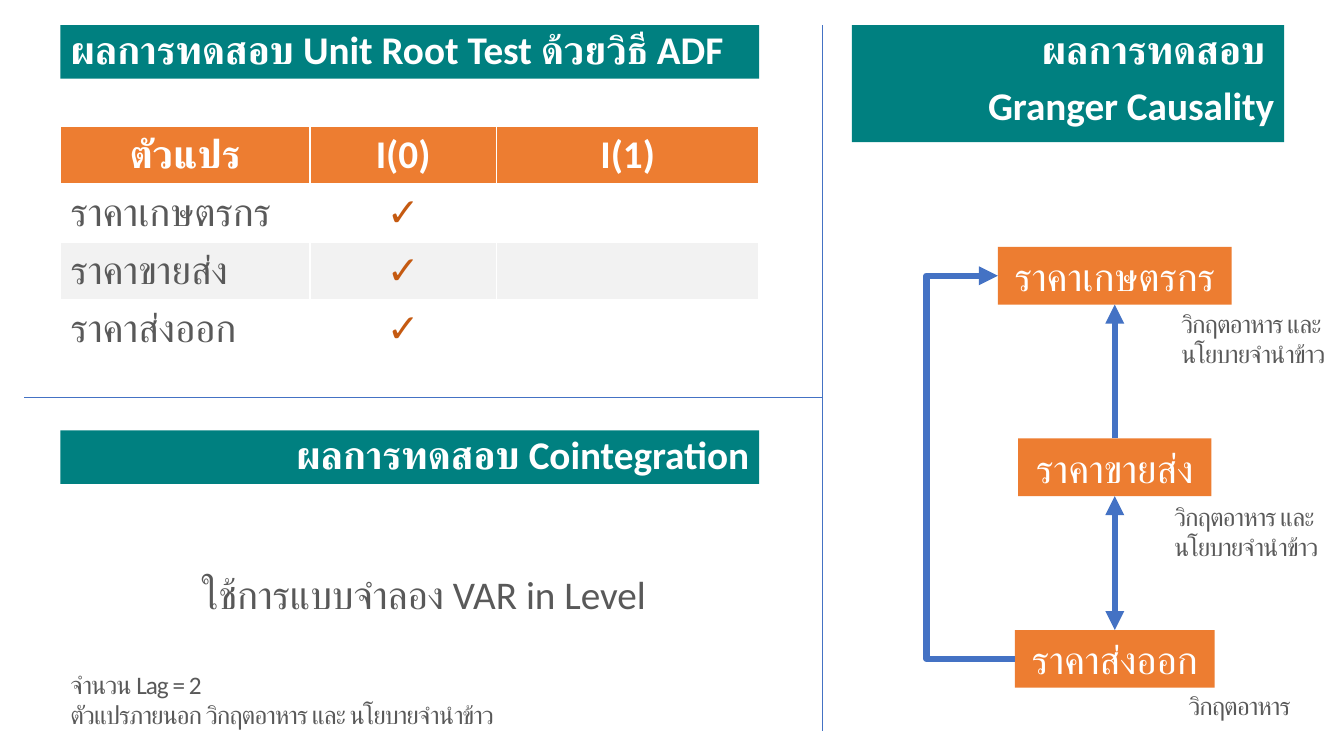
from pptx import Presentation
from pptx.dml.color import RGBColor
from pptx.enum.shapes import MSO_CONNECTOR, MSO_SHAPE
from pptx.enum.text import MSO_ANCHOR, MSO_AUTO_SIZE, PP_ALIGN
from pptx.oxml.ns import qn
from pptx.util import Pt
from lxml import etree

LEFT, CENTER, RIGHT = PP_ALIGN.LEFT, PP_ALIGN.CENTER, PP_ALIGN.RIGHT
TOP, MIDDLE = MSO_ANCHOR.TOP, MSO_ANCHOR.MIDDLE
RECT = MSO_SHAPE.RECTANGLE
STRAIGHT, ELBOW = MSO_CONNECTOR.STRAIGHT, MSO_CONNECTOR.ELBOW
NO_FIT = MSO_AUTO_SIZE.NONE

WHITE = RGBColor(0xFF, 0xFF, 0xFF)
TEAL = RGBColor(0x00, 0x80, 0x80)
ORANGE = RGBColor(0xED, 0x7D, 0x31)
RUST = RGBColor(0xC5, 0x5A, 0x11)
BLUE = RGBColor(0x44, 0x72, 0xC4)
GREY = RGBColor(0x59, 0x59, 0x59)
PALE = RGBColor(0xF2, 0xF2, 0xF2)


class Deck:
    font = "Calibri"
    large = 28
    small = 18

    def __init__(self, prs):
        self.s = prs.slides.add_slide(prs.slide_layouts[5])

    def add_lines(self, tf, lines, color, size=large, bold=False, align=LEFT, spacing=None, before=0, tracking=None):
        for i, line in enumerate(lines):
            p = tf.paragraphs[0] if i == 0 else tf.add_paragraph()
            p.alignment = align
            p.line_spacing = spacing
            p.space_before = Pt(before if i else 0)
            r = p.add_run()
            r.text = line
            r.font.name = self.font
            r.font.size = Pt(size)
            r.font.bold = bold
            r.font.color.rgb = color
            rPr = r._r.get_or_add_rPr()
            etree.SubElement(rPr, qn("a:cs"), typeface=self.font)
            if tracking is not None:
                rPr.set("spc", str(tracking))

    def rect(self, x, y, w, h, fill):
        sp = self.s.shapes.add_shape(RECT, Pt(x), Pt(y), Pt(w), Pt(h))
        sp.shadow.inherit = False
        sp.fill.solid()
        sp.fill.fore_color.rgb = fill
        sp.line.fill.background()
        return sp

    def banner_text(self, sp, lines, align):
        tf = sp.text_frame
        tf.word_wrap = True
        tf.auto_size = NO_FIT
        tf.vertical_anchor = TOP
        self.add_lines(tf, lines, WHITE, bold=True, align=align, spacing=0.9, before=10)

    def title(self, x, y, w, h, line):
        sp = self.s.shapes.title
        sp.left, sp.top, sp.width, sp.height = Pt(x), Pt(y), Pt(w), Pt(h)
        sp.fill.solid()
        sp.fill.fore_color.rgb = TEAL
        self.banner_text(sp, [line], LEFT)

    def banner(self, x, y, w, h, lines):
        self.banner_text(self.rect(x, y, w, h, TEAL), lines, RIGHT)

    def node(self, center, y, w, h, line):
        sp = self.rect(center - w / 2, y, w, h, ORANGE)
        tf = sp.text_frame
        tf.word_wrap = False
        tf.vertical_anchor = MIDDLE
        self.add_lines(tf, [line], WHITE, align=CENTER)
        return sp

    def text(self, x, y, w, h, lines, anchor=TOP, wrap=True, **style):
        tf = self.s.shapes.add_textbox(Pt(x), Pt(y), Pt(w), Pt(h)).text_frame
        tf.word_wrap = wrap
        tf.vertical_anchor = anchor
        self.add_lines(tf, lines, GREY, **style)

    def note(self, x, y, w, h, lines, anchor=TOP):
        self.text(x, y, w, h, lines, anchor, size=self.small, tracking=-70)

    def line(self, x1, y1, x2, y2, width, kind=STRAIGHT, ends=()):
        c = self.s.shapes.add_connector(kind, Pt(x1), Pt(y1), Pt(x2), Pt(y2))
        c.line.color.rgb = BLUE
        c.line.width = Pt(width)
        spPr = c._element.spPr
        ln = spPr.find(qn("a:ln"))
        for end in ends:
            etree.SubElement(ln, qn(end), type="triangle")
        etree.SubElement(spPr, qn("a:effectLst"))
        return c

    def arrow_up(self, lower, upper, ends):
        c = self.line(0, 0, 0, 0, 4.5, ends=ends)
        c.begin_connect(lower, 0)
        c.end_connect(upper, 2)

    def elbow(self, x1, y1, x2, y2, turn):
        c = self.line(x1, y1, x2, y2, 4.5, ELBOW, ["a:headEnd"])
        avLst = c._element.spPr.find(qn("a:prstGeom")).get_or_add_avLst()
        ratio = round((turn - x1) / (x2 - x1) * 100000)
        etree.SubElement(avLst, qn("a:gd"), name="adj1", fmla=f"val {ratio}")

    def table(self, x, y, widths, row_height, rows):
        shape = self.s.shapes.add_table(len(rows), len(widths), Pt(x), Pt(y), Pt(sum(widths)), Pt(row_height * len(rows)))
        tbl = shape.table
        for col, w in zip(tbl.columns, widths):
            col.width = Pt(w)
        for i, row in enumerate(rows):
            tbl.rows[i].height = Pt(row_height)
            for j, value in enumerate(row):
                cell = tbl.cell(i, j)
                cell.fill.solid()
                cell.fill.fore_color.rgb = ORANGE if i == 0 else WHITE if i % 2 else PALE
                color = WHITE if i == 0 else RUST if j else GREY
                if value:
                    self.add_lines(cell.text_frame, [value], color, bold=i == 0 or j > 0,
                                   align=CENTER if i == 0 or j else LEFT)


def main():
    prs = Presentation()
    prs.slide_width, prs.slide_height = Pt(960), Pt(540)
    d = Deck(prs)

    left, top, width, bar = 43.2, 18, 499, 38.2
    divider = 587.5
    prices = ["ราคาเกษตรกร", "ราคาขายส่ง", "ราคาส่งออก"]

    d.title(left, top, width, bar, "ผลการทดสอบ Unit Root Test ด้วยวิธี ADF")
    d.banner(left, 307.4, width, bar, ["ผลการทดสอบ Cointegration"])
    d.line(17.3, 283.5, divider, 283.5, 0.5)
    d.table(left, 90, [178.2, 133.2, 187.6], 29.5,
            [["ตัวแปร", "I(0)", "I(1)"]] + [[price, "✓", ""] for price in prices])
    d.banner(608.4, top, 308.9, 83.5, ["ผลการทดสอบ ", "Granger Causality"])
    d.line(divider, 522, divider, top, 0.5)

    center, first, step, height = 796.3, 176.4, 136.8, 41.2
    widths = [167, 138.2, 142.6]
    farm, wholesale, export = [
        d.node(center, first + i * step, w, height, price)
        for i, (w, price) in enumerate(zip(widths, prices))
    ]

    d.text(124.6, 403.2, 356.4, height, ["ใช้การแบบจำลอง VAR in Level"], MIDDLE, False, align=CENTER)
    d.note(left, 473.8, 350.6, 51, ["จำนวน Lag = 2", "ตัวแปรภายนอก วิกฤตอาหาร และ นโยบายจำนำข้าว"], MIDDLE)

    middle = first + height / 2
    d.elbow(center - widths[0] / 2, middle, center - widths[2] / 2, middle + 2 * step, 661.7)
    d.arrow_up(wholesale, farm, ["a:tailEnd"])
    d.arrow_up(export, wholesale, ["a:headEnd", "a:tailEnd"])

    both = ["วิกฤตอาหาร และ", "นโยบายจำนำข้าว"]
    d.note(836.6, 216.7, 123.1, 51, both)
    d.note(831.6, 354.4, 123.1, 51, both)
    d.note(841.7, 489.6, 92.9, 29, ["วิกฤตอาหาร"])

    prs.save("out.pptx")


if __name__ == "__main__":
    main()
